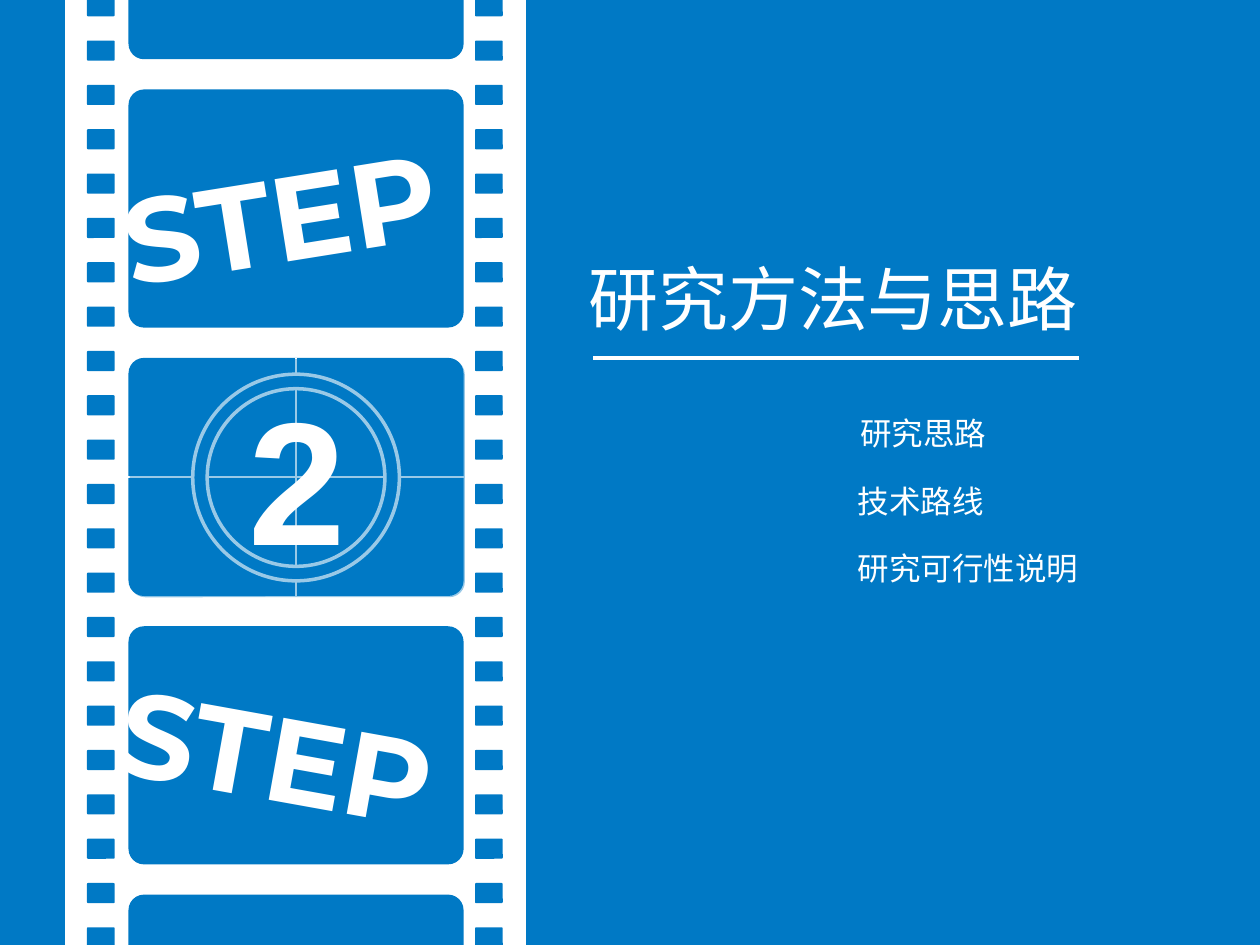
import lxml.etree
import pptx
import pptx.dml.color
import pptx.enum.shapes
import pptx.enum.text
import pptx.oxml.ns
import pptx.util
from pptx.util import Inches

BLUE = "0079C5"
WHITE = "FFFFFF"
CJK_FONT = "Noto Sans CJK SC"
SHAPE = pptx.enum.shapes.MSO_SHAPE
qn = pptx.oxml.ns.qn


def color(hex_text):
    return pptx.dml.color.RGBColor.from_string(hex_text)


def add_block(shapes, kind, box, fill, adjust=None, line=None, line_width=0):
    left, top, width, height = box
    block = shapes.add_shape(kind, Inches(left), Inches(top), Inches(width), Inches(height))
    block.shadow.inherit = False
    block.fill.solid()
    block.fill.fore_color.rgb = color(fill)
    if adjust is not None:
        block.adjustments[0] = adjust
    if line:
        block.line.color.rgb = color(line)
        block.line.width = pptx.util.Pt(line_width)
    else:
        block.line.fill.background()
    return block


def add_line(shapes, start, end, width):
    line = shapes.add_connector(
        pptx.enum.shapes.MSO_CONNECTOR.STRAIGHT,
        Inches(start[0]), Inches(start[1]), Inches(end[0]), Inches(end[1]))
    line.line.color.rgb = color(WHITE)
    line.line.width = pptx.util.Pt(width)
    properties = line._element.find(qn("p:spPr"))
    lxml.etree.SubElement(properties, qn("a:effectLst"))
    return line


def add_text(shapes, box, text, size, font, bold=False, rotation=0):
    left, top, width, height = box
    text_box = shapes.add_textbox(Inches(left), Inches(top), Inches(width), Inches(height))
    text_box.rotation = rotation
    frame = text_box.text_frame
    frame.word_wrap = True
    frame.auto_size = pptx.enum.text.MSO_AUTO_SIZE.SHAPE_TO_FIT_TEXT
    span = frame.paragraphs[0].add_run()
    span.text = text
    span.font.size = pptx.util.Pt(size)
    span.font.name = font
    span.font.bold = bold
    span.font.color.rgb = color(WHITE)
    # East Asian characters take their own font entry
    east_asian = lxml.etree.SubElement(span.font._element, qn("a:ea"))
    east_asian.set("typeface", font)


def add_film_strip(page, box):
    """Draw the white strip with its holes; return the blue frames from top to bottom."""
    left, top, width, height = box
    strip = page.shapes.add_group_shape().shapes
    add_block(strip, SHAPE.RECTANGLE, box, WHITE, line=WHITE, line_width=4.5)

    # Two columns of evenly spaced holes
    hole_count, first, last = 22, 0.13, 7.52
    pitch = (last - first) / (hole_count - 1)
    for column in (0.14, 3.22):
        for row in range(hole_count):
            hole = (left + column, top + first + row * pitch, 0.22, 0.16)
            add_block(strip, SHAPE.ROUNDED_RECTANGLE, hole, BLUE, adjust=0.06)

    # Picture frames, the outer two cut by the page edge
    return [add_block(strip, SHAPE.ROUNDED_RECTANGLE,
                      (left + 0.47, top - 1.26 + index * 2.13, 2.66, 1.89),
                      BLUE, adjust=0.065)
            for index in range(5)]


def add_countdown(page, box, frame, number):
    """Draw cross hairs, ring, veil and number over one film frame."""
    left, top, width, height = box
    center_x, center_y = left + width / 2, top + height / 2
    across = add_line(page.shapes, (left, center_y), (left + 2.75, center_y), 1.5)
    across.begin_connect(frame, 1)
    down = add_line(page.shapes, (center_x, top), (center_x, top + height), 1.5)
    down.begin_connect(frame, 0)
    down.end_connect(frame, 2)

    ring = (left + 0.51, top + 0.13, 1.64, 1.64)
    add_block(page.shapes, SHAPE.DONUT, ring, BLUE, adjust=0.07, line=WHITE, line_width=2)

    # Translucent veil that softens the ring and lines
    veil = add_block(page.shapes, SHAPE.ROUNDED_RECTANGLE,
                     (left + 0.01, top + 0.01, width, height), BLUE, adjust=0.065)
    fill_color = veil._element.find(qn("p:spPr")).find(qn("a:solidFill"))[0]
    lxml.etree.SubElement(fill_color, qn("a:alpha")).set("val", "40000")

    add_text(page.shapes, (left + 0.85, top + 0.05, 1.95, 1.78), number, 100, "Arial", bold=True)


def add_section_title(page, box, title, topics):
    """Place the section title, its underline and the topic list."""
    left, top, width, height = box
    add_line(page.shapes, (left + 0.14, top + 0.86), (left + 3.99, top + 0.86), 2.25)
    add_text(page.shapes, (left, top, width, 0.77), title, 40, CJK_FONT)
    for index, topic in enumerate(topics):
        indent = 2.16 if index == 0 else 2.14
        add_text(page.shapes, (left + indent, top + 1.26 + index * 0.535, 2.53, 0.4),
                 topic, 18, CJK_FONT)


def main():
    deck = pptx.Presentation()
    deck.slide_width, deck.slide_height = Inches(10), Inches(7.5)
    page = deck.slides.add_slide(deck.slide_layouts[6])
    page.background.fill.solid()
    page.background.fill.fore_color.rgb = color(BLUE)

    frames = add_film_strip(page, (0.55, -0.16, 3.59, 7.81))

    # Tilted words in the frames above and below the countdown
    for box, rotation in (((0.87, 1.03, 3.45, 1.25), 350.9),
                          ((0.84, 5.43, 3.45, 1.25), 10.2)):
        add_text(page.shapes, box, "STEP", 68, "Montserrat", bold=True, rotation=rotation)

    add_countdown(page, (1.02, 2.84, 2.66, 1.89), frames[2], "2")
    add_section_title(page, (4.57, 1.98, 4.12, 2.73), "研究方法与思路",
                      ["研究思路", "技术路线", "研究可行性说明"])
    deck.save("out.pptx")


if __name__ == "__main__":
    main()
